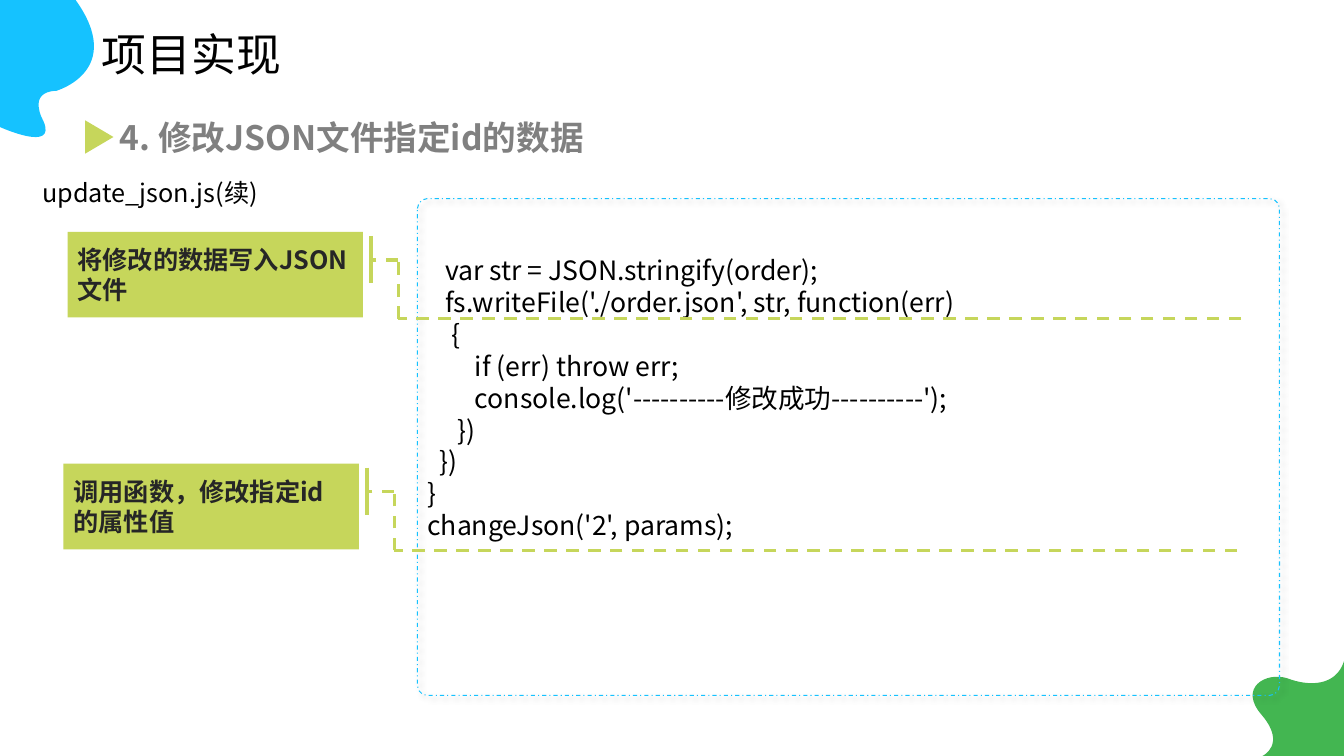
"""Build the slide on updating JSON data by id."""
import dataclasses

import lxml.etree
import pptx
import pptx.dml.color
import pptx.enum.dml
import pptx.enum.shapes
import pptx.enum.text
import pptx.oxml
import pptx.oxml.ns
import pptx.shapes.base
import pptx.slide
import pptx.text.text
import pptx.util

Inches = pptx.util.Inches
Point = tuple[float, float]
SHAPE = pptx.enum.shapes.MSO_SHAPE
DASH = pptx.enum.dml.MSO_LINE
qn = pptx.oxml.ns.qn

FONT = "Noto Sans CJK SC"
COLORS = {
    "blue": "15C2FF",
    "green": "43B651",
    "lime": "C6D65B",
    "black": "000000",
    "dark": "262626",
    "grey": "808080",
}
CODE = """\
   var str = JSON.stringify(order);
   fs.writeFile('./order.json', str, function(err)
    {
        if (err) throw err;
        console.log('----------修改成功----------');
     })
  })
}
changeJson('2', params);"""


@dataclasses.dataclass(frozen=True)
class Blob:
    color: str
    start: Point
    curves: tuple[tuple[Point, Point, Point], ...]


@dataclasses.dataclass(frozen=True)
class Label:
    text: str
    left: float
    top: float
    width: float
    height: float
    size: float
    color: str = "black"
    bold: bool = False
    wrap: bool = True
    line_spacing: float | None = None


@dataclasses.dataclass(frozen=True)
class Callout:
    text: str
    left: float
    top: float


BLOBS = (
    Blob("blue", (0, 1.26), (
        ((0, 1.26), (0.57, 1.52), (0.43, 1.2)),
        ((0.43, 1.2), (0.26, 0.91), (0.56, 0.9)),
        ((0.56, 0.9), (1.25, 0.7), (0.75, 0)),
        ((0, 0), (0, 0), (0, 0)),
    )),
    Blob("green", (12.52, 7.5), (
        ((12.52, 7.5), (12.76, 7.39), (12.52, 7.1)),
        ((12.27, 6.82), (12.56, 6.66), (12.77, 6.73)),
        ((12.98, 6.81), (13.25, 6.81), (13.33, 6.56)),
        ((13.33, 7.5), (13.33, 7.5), (13.33, 7.5)),
    )),
)
CODE_LABEL = Label(CODE, 4.14, 2.47, 8.21, 2.98, 19)
TITLE = Label("项目实现", 0.91, 0.22, 1.98, 0.64, 32, wrap=False)
FILE_NAME = Label("update_json.js(续)", 0.32, 1.71, 2.44, 0.4, 18)
HEADING = Label("4. 修改JSON文件指定id的数据", 1.09, 1.03, 5.42, 0.58, 24, "grey", True,
                line_spacing=1.2)
CALLOUTS = (
    Callout("将修改的数据写入JSON文件", 0.67, 2.3),
    Callout("调用函数，修改指定id的属性值", 0.63, 4.6),
)


def rgb(name: str) -> pptx.dml.color.RGBColor:
    return pptx.dml.color.RGBColor.from_string(COLORS[name])


def paint(shape: pptx.shapes.base.BaseShape, color: str) -> None:
    shape.shadow.inherit = False
    shape.fill.solid()
    shape.fill.fore_color.rgb = rgb(color)
    shape.line.fill.background()


def write(frame: pptx.text.text.TextFrame, text: str, size: float, color: str,
          bold: bool, line_spacing: float | None = None) -> None:
    frame.text = text
    for paragraph in frame.paragraphs:
        paragraph.alignment = pptx.enum.text.PP_ALIGN.LEFT
        paragraph.line_spacing = line_spacing
        for run in paragraph.runs:
            run.font.name = FONT
            run.font.size = pptx.util.Pt(size)
            run.font.bold = bold
            run.font.color.rgb = rgb(color)
            east_asian = lxml.etree.SubElement(run.font._element, qn("a:ea"))
            east_asian.set("typeface", FONT)


def draw_blob(slide: pptx.slide.Slide, blob: Blob) -> None:
    points = [blob.start, *(point for curve in blob.curves for point in curve), blob.start]
    across, down = (min(values) + max(values) for values in zip(*points))
    turned = [(Inches(across - x), Inches(down - y)) for x, y in points]
    builder = slide.shapes.build_freeform(*turned[0])
    builder.add_line_segments(turned[1:], close=True)
    shape = builder.convert_to_shape()
    shape.rotation = 180
    paint(shape, blob.color)
    segments = list(shape._element.iter(qn("a:lnTo")))
    for index in range(len(blob.curves)):
        first, *others = segments[3 * index:3 * index + 3]
        curve = pptx.oxml.parse_xml(f'<a:cubicBezTo {pptx.oxml.ns.nsdecls("a")}/>')
        first.addprevious(curve)
        for segment in (first, *others):
            curve.append(segment[0])
            segment.getparent().remove(segment)


def draw_code_frame(slide: pptx.slide.Slide) -> None:
    frame = slide.shapes.add_shape(
        SHAPE.ROUNDED_RECTANGLE, *map(Inches, (4.14, 1.97, 8.55, 4.93)))
    frame.adjustments[0] = 0.02
    frame.fill.background()
    frame.line.color.rgb = rgb("blue")
    frame.line.width = pptx.util.Pt(0.75)
    frame.line.dash_style = DASH.DASH_DOT
    frame.shadow.inherit = False
    effects = frame._element.spPr.find(qn("a:effectLst"))
    effects.append(pptx.oxml.parse_xml(
        f'<a:outerShdw {pptx.oxml.ns.nsdecls("a")} blurRad="50800" dist="38100" '
        'dir="2700000" algn="tl" rotWithShape="0"><a:srgbClr val="000000">'
        '<a:alpha val="40000"/></a:srgbClr></a:outerShdw>'))


def draw_label(slide: pptx.slide.Slide, label: Label) -> None:
    box = slide.shapes.add_textbox(
        *map(Inches, (label.left, label.top, label.width, label.height)))
    box.text_frame.word_wrap = label.wrap
    write(box.text_frame, label.text, label.size, label.color, label.bold,
          label.line_spacing)


def draw_line(slide: pptx.slide.Slide, start: Point, end: Point, dashed: bool) -> None:
    line = slide.shapes.add_connector(
        pptx.enum.shapes.MSO_CONNECTOR.STRAIGHT, *map(Inches, (*start, *end)))
    line.line.color.rgb = rgb("lime")
    line.line.width = pptx.util.Pt(2.25)
    if dashed:
        line.line.dash_style = DASH.DASH
    lxml.etree.SubElement(line._element.spPr, qn("a:effectLst"))


def draw_callout(slide: pptx.slide.Slide, callout: Callout) -> None:
    left, top = callout.left, callout.top
    box = slide.shapes.add_shape(SHAPE.RECTANGLE, *map(Inches, (left, top, 2.93, 0.85)))
    paint(box, "lime")
    box.text_frame.word_wrap = True
    box.text_frame.vertical_anchor = pptx.enum.text.MSO_ANCHOR.MIDDLE
    write(box.text_frame, callout.text, 18, "dark", True)
    bar, elbow, far = left + 3.01, left + 3.28, left + 11.64
    middle, bottom = top + 0.28, top + 0.86
    leader = ((far, bottom), (elbow, bottom), (elbow, middle), (bar, middle))
    for start, end in zip(leader, leader[1:]):
        draw_line(slide, start, end, dashed=True)
    draw_line(slide, (bar, top + 0.04), (bar, top + 0.51), dashed=False)


def main() -> None:
    deck = pptx.Presentation()
    deck.slide_width, deck.slide_height = Inches(13.33), Inches(7.5)
    slide = deck.slides.add_slide(deck.slide_layouts[6])
    for blob in BLOBS:
        draw_blob(slide, blob)
    draw_code_frame(slide)
    for label in (CODE_LABEL, TITLE):
        draw_label(slide, label)
    for callout in CALLOUTS:
        draw_callout(slide, callout)
    for label in (FILE_NAME, HEADING):
        draw_label(slide, label)
    marker = slide.shapes.add_shape(
        SHAPE.ISOSCELES_TRIANGLE, *map(Inches, (0.82, 1.22, 0.33, 0.28)))
    marker.rotation = 270
    marker._element.spPr.xfrm.set("flipV", "1")
    paint(marker, "lime")
    deck.save("out.pptx")


if __name__ == "__main__":
    main()
